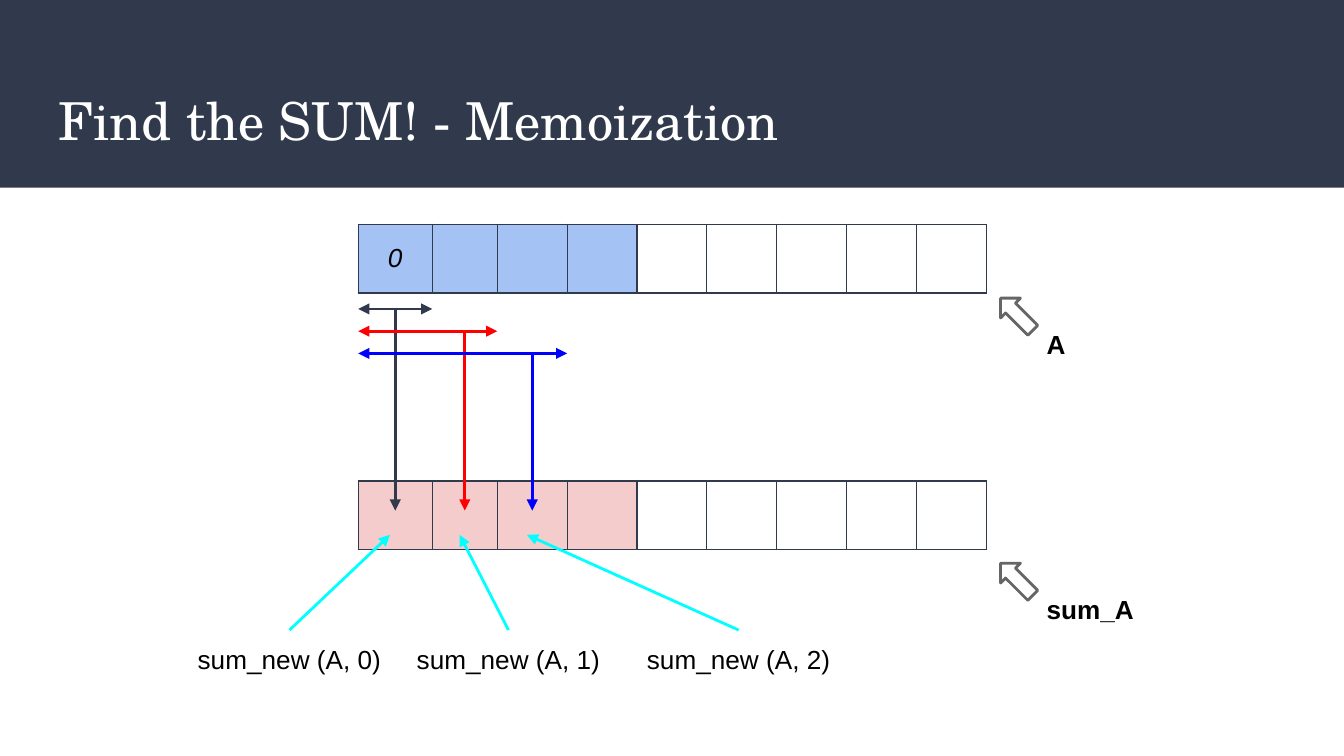
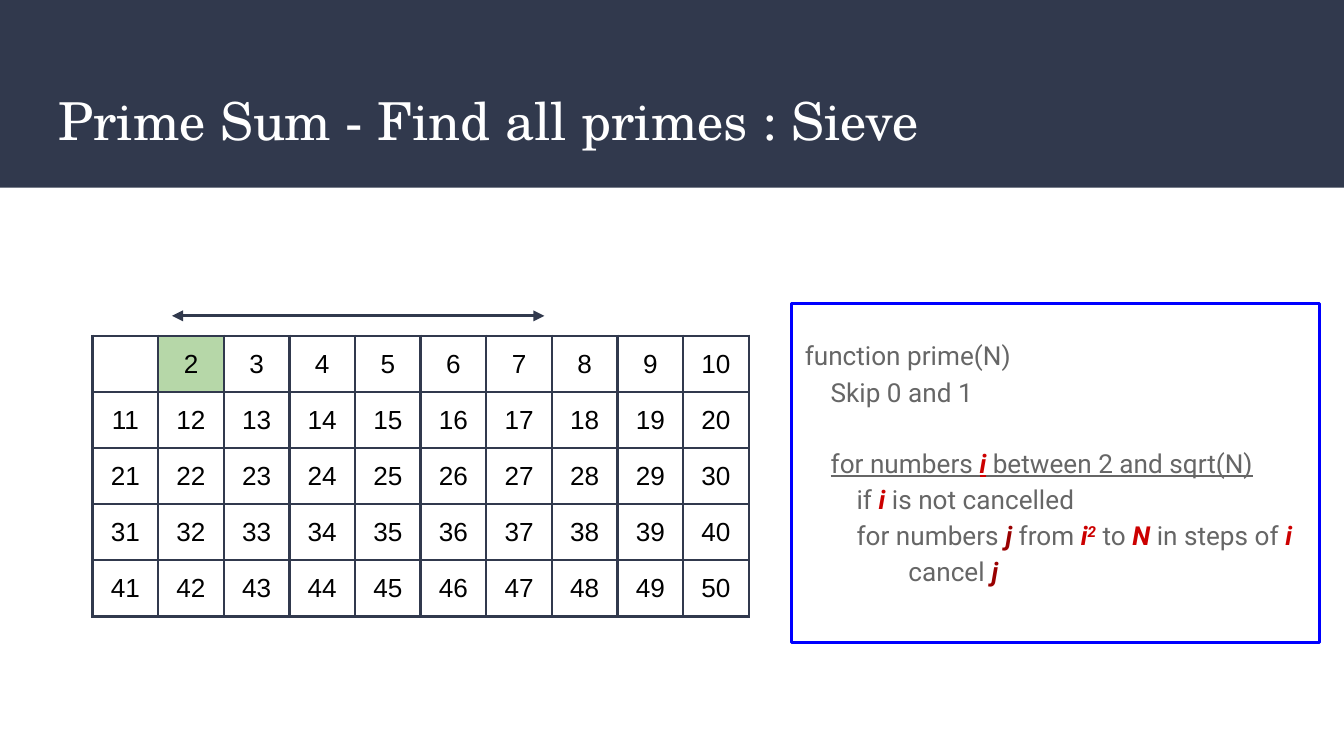
from itertools import accumulate

from lxml.etree import SubElement
from pptx import Presentation
from pptx.dml.color import RGBColor
from pptx.enum.shapes import MSO_CONNECTOR, MSO_SHAPE
from pptx.enum.text import MSO_ANCHOR, MSO_AUTO_SIZE, PP_ALIGN
from pptx.oxml.ns import qn
from pptx.util import Cm, Pt

COLORS = {
    "navy": "31394D", "white": "FFFFFF", "black": "000000", "gray": "666666",
    "red": "FF0000", "blue": "0000FF", "cyan": "00FFFF",
    "array": "A4C2F4", "memo": "F4CCCC", "prime": "B6D7A8",
    "outer": "CC0000", "inner": "990000",
}
TITLE_FONT, LABEL_FONT, CODE_FONT = "TeX Gyre Schola", "Arial", "Roboto"
INSET = 0.25
ARRAY_COLS = [1.4, 1.23] + [1.32] * 7
ARRAY_EDGES = list(accumulate(ARRAY_COLS, initial=0))
ARRAY_CENTERS = [(a + b) / 2 for a, b in zip(ARRAY_EDGES, ARRAY_EDGES[1:])]
CODE = [
    [("function prime(N)", "plain")],
    [("    Skip 0 and 1", "plain")],
    [("    ", "plain"), ("for numbers ", "under"), ("i", "outer under"),
     (" between 2 and sqrt(N)", "under")],
    [("        if ", "plain"), ("i", "outer"), (" is not cancelled", "plain")],
    [("        for numbers ", "plain"), ("j", "inner"), (" from ", "plain"),
     ("i", "outer"), ("2", "outer super"), (" to ", "plain"), ("N", "outer"),
     (" in steps of ", "plain"), ("i", "outer")],
    [("                cancel ", "plain"), ("j", "inner")],
]
GAP_LINE = 2


def rgb(name):
    """Return the palette colour as an RGBColor."""
    return RGBColor.from_string(COLORS[name])


def set_font(font, name, size, color, bold=False, italic=False):
    """Format a font."""
    font.name, font.size = name, Pt(size)
    font.color.rgb = rgb(color)
    font.bold, font.italic = bold, italic


def set_insets(tf):
    """Give a text frame or cell equal insets."""
    tf.margin_left = tf.margin_right = Cm(INSET)
    tf.margin_top = tf.margin_bottom = Cm(INSET)


def add_box(s, kind, x, y, w, h, fill=None, line=None):
    """Add a preset shape without shadow."""
    sp = s.shapes.add_shape(kind, Cm(x), Cm(y), Cm(w), Cm(h))
    sp.shadow.inherit = False
    if fill:
        sp.fill.solid()
        sp.fill.fore_color.rgb = rgb(fill)
    else:
        sp.fill.background()
    if line:
        sp.line.color.rgb = rgb(line)
        sp.line.width = Pt(1.5)
    else:
        sp.line.fill.background()
    return sp


def add_label(s, x, y, w, text, bold=False, align=PP_ALIGN.LEFT):
    """Add a one-line text label."""
    sp = s.shapes.add_textbox(Cm(x), Cm(y), Cm(w), Cm(1.12))
    tf = sp.text_frame
    tf.word_wrap = True
    tf.auto_size = MSO_AUTO_SIZE.SHAPE_TO_FIT_TEXT
    set_insets(tf)
    tf.text = text
    p = tf.paragraphs[0]
    p.alignment = align
    set_font(p.runs[0].font, LABEL_FONT, 14, "black", bold)
    return sp


def add_arrow(s, x1, y1, x2, y2, color, both=False):
    """Add a straight arrow, with heads at both ends if asked."""
    c = s.shapes.add_connector(MSO_CONNECTOR.STRAIGHT, Cm(x1), Cm(y1), Cm(x2), Cm(y2))
    c.line.color.rgb = rgb(color)
    c.line.width = Pt(1.5)
    spPr = c._element.spPr
    ln = spPr.find(qn("a:ln"))
    for end in ["headEnd", "tailEnd"] if both else ["tailEnd"]:
        SubElement(ln, qn(f"a:{end}"), type="triangle")
    SubElement(spPr, qn("a:effectLst"))
    return c


def set_cell(cell, text, fill, border, italic):
    """Write, outline and fill one cell."""
    if text:
        cell.text = text
        set_insets(cell)
        cell.vertical_anchor = MSO_ANCHOR.MIDDLE
        p = cell.text_frame.paragraphs[0]
        p.alignment = PP_ALIGN.CENTER
        set_font(p.runs[0].font, LABEL_FONT, 14, "black", italic=italic)
    tcPr = cell._tc.get_or_add_tcPr()
    for side in ["lnL", "lnR", "lnT", "lnB"]:
        ln = SubElement(tcPr, qn(f"a:{side}"), w=str(Pt(border)))
        solid = SubElement(ln, qn("a:solidFill"))
        SubElement(solid, qn("a:srgbClr"), val=COLORS["navy"])
    if fill:
        cell.fill.solid()
        cell.fill.fore_color.rgb = rgb(fill)
    else:
        cell.fill.background()


def add_grid(s, x, y, cols, row_h, rows, fills, border, italic=False):
    """Add a bordered table; fills maps (row, column) to a colour."""
    frame = s.shapes.add_table(len(rows), len(cols), Cm(x), Cm(y),
                               Cm(sum(cols)), Cm(row_h * len(rows)))
    table = frame.table
    table.first_row = table.horz_banding = False
    for col, w in zip(table.columns, cols):
        col.width = Cm(w)
    for i, row in enumerate(rows):
        table.rows[i].height = Cm(row_h)
        for j, text in enumerate(row):
            set_cell(table.cell(i, j), text, fills.get((i, j)), border, italic)


def add_array(s, x, y, fill, first=""):
    """Draw a nine-cell array with its first four cells filled."""
    fills = {(0, j): fill for j in range(4)}
    add_grid(s, x, y, ARRAY_COLS, 1.3, [[first] + [""] * 8], fills, 0.75, True)


def add_pointer(s, x, y, name):
    """Draw a slanted block arrow with the array name."""
    sp = add_box(s, MSO_SHAPE.UP_ARROW, x, y, 0.53, 0.86, line="gray")
    sp.rotation = 315
    add_label(s, x + 0.58, y + 0.45, 2.84, name, bold=True)


def add_prefixes(s, x, y, bottom):
    """Draw the growing prefix spans and their drops to the memo cells."""
    for i, color in enumerate(["navy", "red", "blue"]):
        span_y = y + i * 0.42
        add_arrow(s, x, span_y, x + ARRAY_EDGES[i + 1], span_y, color, both=True)
        drop_x = x + ARRAY_CENTERS[i]
        add_arrow(s, drop_x, span_y, drop_x, bottom, color)


def add_calls(s, x, tip_y, label_y):
    """Label the calls and point each at its memo cell."""
    for i, left in enumerate([3.3, 7.44, 11.79]):
        sp = add_label(s, left, label_y, 4.34, f"sum_new (A, {i})", align=PP_ALIGN.CENTER)
        c = add_arrow(s, left, label_y, x + ARRAY_CENTERS[i] - 0.1, tip_y, "cyan")
        c.begin_connect(sp, 0)


def add_code(s, x, y, w, h):
    """Draw the framed pseudocode."""
    tf = add_box(s, MSO_SHAPE.RECTANGLE, x, y, w, h, line="blue").text_frame
    tf.word_wrap = True
    tf.vertical_anchor = MSO_ANCHOR.MIDDLE
    set_insets(tf)
    tf.margin_bottom = Cm(0.7)
    for i, line in enumerate(CODE):
        p = tf.add_paragraph() if i else tf.paragraphs[0]
        p.alignment = PP_ALIGN.LEFT
        p.line_spacing = 1.15
        if i == GAP_LINE:
            p.space_before = Pt(19)
        for text, style in line:
            r = p.add_run()
            r.text = text
            styles = style.split()
            color = styles[0] if styles[0] in COLORS else "gray"
            var = color != "gray"
            set_font(r.font, CODE_FONT, 14, color, var, var)
            r.font.underline = "under" in styles
            if "super" in styles:
                r.font._element.set("baseline", "30000")


def add_slide(prs, title):
    """Add a slide with the title band."""
    s = prs.slides.add_slide(prs.slide_layouts[5])
    band = add_box(s, MSO_SHAPE.RECTANGLE, 0, 0, 25.4, 3.55, fill="navy")
    sp = s.shapes.title
    sp._element.addprevious(band._element)
    sp.left, sp.top, sp.width, sp.height = Cm(0.86), Cm(1.4), Cm(23.67), Cm(1.73)
    tf = sp.text_frame
    set_insets(tf)
    tf.vertical_anchor = MSO_ANCHOR.MIDDLE
    tf.auto_size = MSO_AUTO_SIZE.NONE
    tf.text = title
    p = tf.paragraphs[0]
    p.alignment = PP_ALIGN.LEFT
    set_font(p.runs[0].font, TITLE_FONT, 28, "white")
    return s


def memoization_slide(prs):
    """Build the memoization slide."""
    s = add_slide(prs, "Find the SUM! - Memoization")
    x = 6.77
    add_array(s, x, 4.24, "array", "0")
    add_array(s, x, 9.09, "memo")
    add_prefixes(s, x, 5.84, 9.65)
    add_calls(s, x, 10.11, 11.91)
    add_pointer(s, 18.95, 10.52, "sum_A")
    add_pointer(s, 18.95, 5.51, "A")


def sieve_slide(prs):
    """Build the sieve slide."""
    s = add_slide(prs, "Prime Sum - Find all primes : Sieve")
    rows = [[str(n) if n > 1 else "" for n in range(start, start + 10)]
            for start in range(1, 51, 10)]
    add_grid(s, 1.75, 6.35, [1.24] * 10, 1.06, rows, {(0, 1): "prime"}, 1.5)
    add_code(s, 14.96, 5.74, 9.98, 6.4)
    add_arrow(s, 3.25, 5.97, 10.29, 5.97, "navy", both=True)


def main():
    """Build and save the deck."""
    prs = Presentation()
    prs.slide_width, prs.slide_height = Cm(25.4), Cm(14.29)
    memoization_slide(prs)
    sieve_slide(prs)
    prs.save("out.pptx")


if __name__ == "__main__":
    main()
